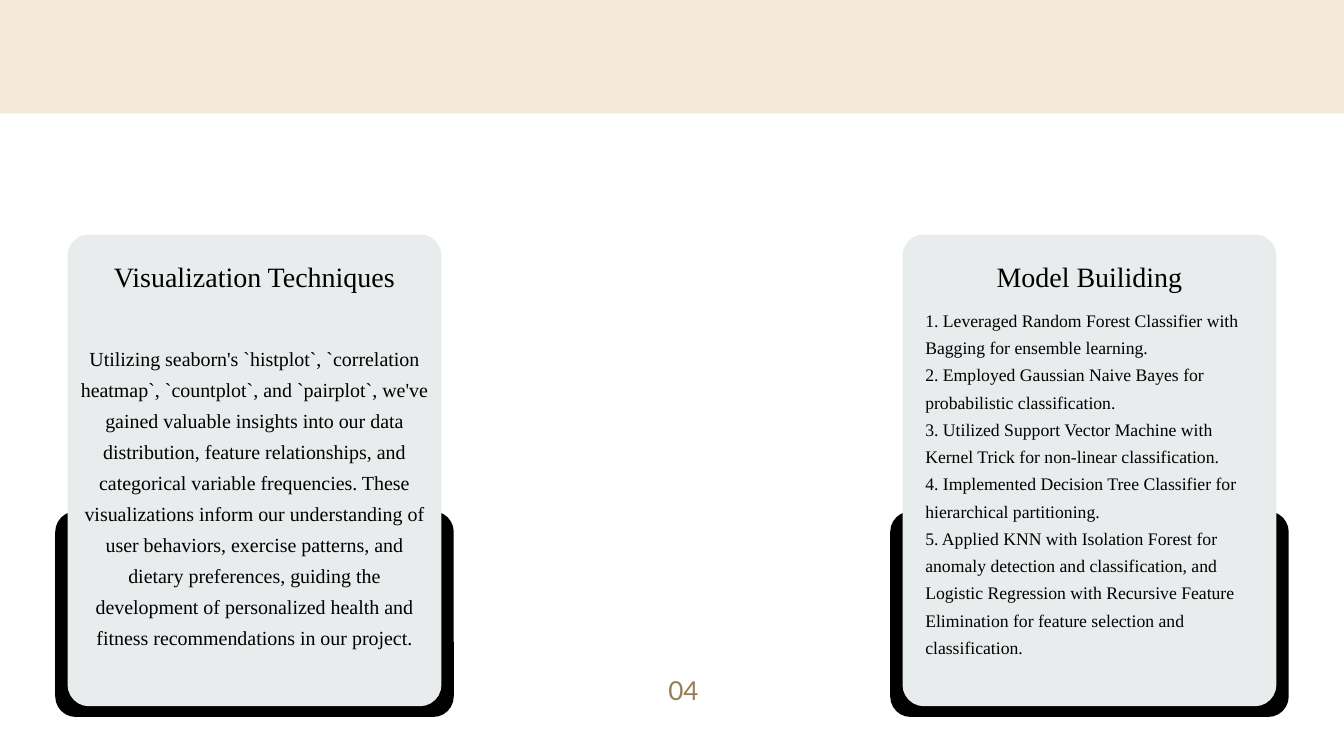
from pptx import Presentation
from pptx.dml.color import RGBColor
from pptx.enum import shapes, text
from pptx.util import Pt

HUES = {"white": "FFFFFF", "sand": "F4EADB", "black": "000000",
        "mist": "E8ECEC", "gold": "967D55"}
SERIF = "Times New Roman"
LEFT, MID = text.PP_ALIGN.LEFT, text.PP_ALIGN.CENTER

PLOTS = ["Utilizing seaborn's `histplot`, `correlation heatmap`, `countplot`, "
         "and `pairplot`, we've gained valuable insights into our data "
         "distribution, feature relationships, and categorical variable "
         "frequencies. These visualizations inform our understanding of user "
         "behaviors, exercise patterns, and dietary preferences, guiding the "
         "development of personalized health and fitness recommendations in "
         "our project."]
MODELS = ["1. Leveraged Random Forest Classifier with Bagging for ensemble learning.",
          "2. Employed Gaussian Naive Bayes for probabilistic classification.",
          "3. Utilized Support Vector Machine with Kernel Trick for non-linear "
          "classification.",
          "4. Implemented Decision Tree Classifier for hierarchical partitioning.",
          "5. Applied KNN with Isolation Forest for anomaly detection and "
          "classification, and Logistic Regression with Recursive Feature "
          "Elimination for feature selection and classification."]


def tint(name):
    return RGBColor.from_string(HUES[name])


def block(slide, box, hue, curve=0):
    """Filled rectangle; curve is the corner radius in points."""
    kind = shapes.MSO_SHAPE.ROUNDED_RECTANGLE if curve else shapes.MSO_SHAPE.RECTANGLE
    shape = slide.shapes.add_shape(kind, *map(Pt, box))
    if curve:
        shape.adjustments[0] = curve / min(box[2:])
    shape.shadow.inherit = False
    shape.fill.solid()
    shape.fill.fore_color.rgb = tint(hue)
    shape.line.fill.background()


def label(slide, box, lines, size, pitch, align=MID, face=SERIF, hue="black"):
    """Text box without insets, with an exact line pitch in points."""
    frame = slide.shapes.add_textbox(*map(Pt, box)).text_frame
    frame.margin_left = frame.margin_right = 0
    frame.margin_top = frame.margin_bottom = 0
    frame.word_wrap = True
    frame.text = "\n".join(lines)
    for para in frame.paragraphs:
        para.alignment = align
        para.line_spacing = Pt(pitch)
        para.font.size = Pt(size)
        para.font.name = face
        para.font.color.rgb = tint(hue)


def card(slide, box, title, lines, inset, drop, size, pitch, align):
    """Pale panel on a black base, with a title and body text."""
    x, y, w, h = box
    base, rim = 220.3, 13.2
    block(slide, (x, y + h - base, w, base), "black", 22)
    block(slide, (x + rim, y, w - 2 * rim, h - 11.5), "mist", 23)
    label(slide, (x + 38, y + 20.9, w - 76, 44), [title], 30, 42)
    label(slide, (x + inset, y + drop, w - 2 * inset, h - drop - 40),
          lines, size, pitch, align)


def main():
    deck = Presentation()
    deck.slide_width, deck.slide_height = Pt(1440), Pt(810)
    slide = deck.slides.add_slide(deck.slide_layouts[6])
    slide.background.fill.solid()
    slide.background.fill.fore_color.rgb = tint("white")

    # Cards
    card(slide, (59.2, 251.3, 427, 516.9), "Visualization Techniques",
         PLOTS, 26.5, 113, 21.4, 33.1, MID)
    card(slide, (953.8, 251.3, 427, 516.9), "Model Builiding",
         MODELS, 37.6, 74.1, 18.9, 29.2, LEFT)

    # Top band and page number
    block(slide, (0, 0, 1440, 121.5), "sand")
    label(slide, (471.6, 727.9, 521.3, 29.5), ["04"], 28, 28,
          face="Lato", hue="gold")
    deck.save("out.pptx")


if __name__ == "__main__":
    main()
